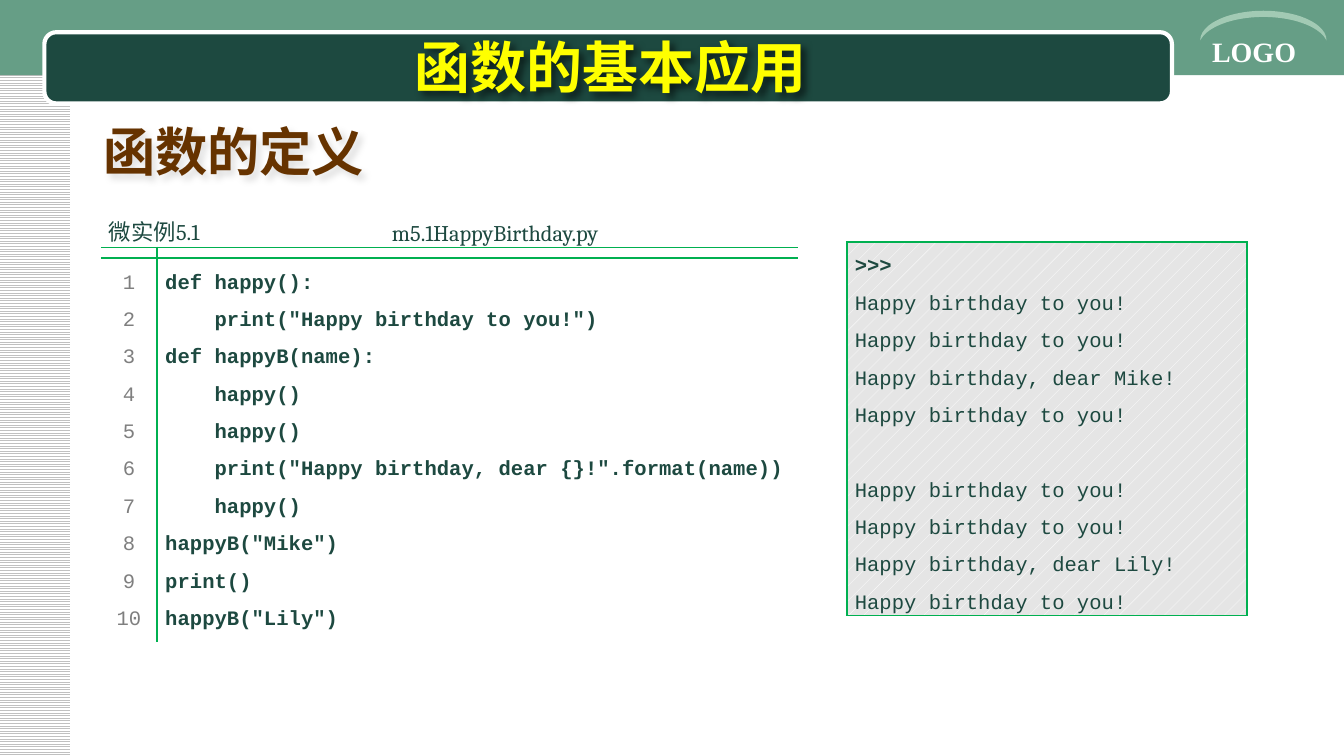
from lxml import etree
from pptx import Presentation
from pptx.dml.color import RGBColor
from pptx.enum.dml import MSO_PATTERN
from pptx.enum.shapes import MSO_SHAPE
from pptx.enum.text import MSO_ANCHOR, PP_ALIGN
from pptx.oxml.ns import qn
from pptx.util import Inches, Pt

WHITE = RGBColor(0xFF, 0xFF, 0xFF)
SILVER = RGBColor(0xC0, 0xC0, 0xC0)
PALE = RGBColor(0xE5, 0xE5, 0xE5)
GRAY = RGBColor(0x7F, 0x7F, 0x7F)
DARK = RGBColor(0x1D, 0x49, 0x40)
SAGE = RGBColor(0x66, 0x9E, 0x86)
MINT = RGBColor(0xA2, 0xCA, 0xB4)
GREEN = RGBColor(0x00, 0xB0, 0x50)
YELLOW = RGBColor(0xFF, 0xFF, 0x00)
BROWN = RGBColor(0x66, 0x33, 0x00)
RECT, ROUND, MOON = MSO_SHAPE.RECTANGLE, MSO_SHAPE.ROUNDED_RECTANGLE, MSO_SHAPE.MOON
STRIPES, DOTS = MSO_PATTERN.LIGHT_HORIZONTAL, MSO_PATTERN.PERCENT_10
LEFT, CENTER, JUSTIFY = PP_ALIGN.LEFT, PP_ALIGN.CENTER, PP_ALIGN.JUSTIFY
TOP, MIDDLE = MSO_ANCHOR.TOP, MSO_ANCHOR.MIDDLE
SANS, SERIF, MONO, ROMAN = "Noto Sans CJK SC", "Cambria", "Courier New", "Times New Roman"
PLAIN_TABLE = "{2D5ABB26-0587-4C30-8999-92F81FD0307C}"

CODE = [
    "def happy():",
    '    print("Happy birthday to you!")',
    "def happyB(name):",
    "    happy()",
    "    happy()",
    '    print("Happy birthday, dear {}!".format(name))',
    "    happy()",
    'happyB("Mike")',
    "print()",
    'happyB("Lily")',
]
WISH = "Happy birthday to you!"


def add_run(p, text, size, font, color, bold=False):
    r = p.add_run()
    r.text = text
    r.font.size = Pt(size)
    r.font.name = font
    r.font.bold = bold
    r.font.color.rgb = color
    if font == SANS:
        etree.SubElement(r._r.get_or_add_rPr(), qn("a:ea"), typeface=font)


def add_block(slide, kind, x, y, w, h, color=None):
    sp = slide.shapes.add_shape(kind, Inches(x), Inches(y), Inches(w), Inches(h))
    sp.shadow.inherit = False
    sp.line.fill.background()
    if color is not None:
        sp.fill.solid()
        sp.fill.fore_color.rgb = color
    return sp


def add_label(slide, x, y, w, h, text, size, font, color, align=LEFT, anchor=TOP, wrap=True):
    tb = slide.shapes.add_textbox(Inches(x), Inches(y), Inches(w), Inches(h))
    tf = tb.text_frame
    tf.word_wrap = wrap
    tf.vertical_anchor = anchor
    p = tf.paragraphs[0]
    p.alignment = align
    add_run(p, text, size, font, color, True)
    return tb


def add_shadow(sp, alpha):
    effects = etree.SubElement(sp._element.spPr, qn("a:effectLst"))
    shadow = etree.SubElement(effects, qn("a:outerShdw"), blurRad=str(Pt(4)),
                              dist=str(Pt(3)), dir="2700000", algn="tl")
    color = etree.SubElement(shadow, qn("a:srgbClr"), val="000000")
    etree.SubElement(color, qn("a:alpha"), val=str(alpha * 1000))


def set_borders(cell, sides):
    tcPr = cell._tc.get_or_add_tcPr()
    for i, side in enumerate(s for s in "LRTB" if s in sides):
        ln = etree.Element(qn("a:ln" + side), w=str(Pt(1)))
        fill = etree.SubElement(ln, qn("a:solidFill"))
        etree.SubElement(fill, qn("a:srgbClr"), val=str(GREEN))
        tcPr.insert(i, ln)


def add_grid(slide, x, y, cols, rows):
    frame = slide.shapes.add_table(len(rows), len(cols), Inches(x), Inches(y),
                                   Inches(sum(cols)), Inches(sum(rows)))
    table = frame.table
    table.first_row = table.horz_banding = False
    table._tbl.tblPr.find(qn("a:tableStyleId")).text = PLAIN_TABLE
    for col, w in zip(table.columns, cols):
        col.width = Inches(w)
    for row, h in zip(table.rows, rows):
        row.height = Inches(h)
    for cell in table.iter_cells():
        cell.margin_left = cell.margin_right = Inches(0.06)
        cell.margin_top = cell.margin_bottom = 0
        cell.fill.solid()
        cell.fill.fore_color.rgb = WHITE
        etree.SubElement(cell.text_frame.paragraphs[0]._p, qn("a:endParaRPr"), sz="300")
    return table


def fill_cell(cell, lines, size, font, color, bold=False, align=LEFT, spacing=20, anchor=TOP):
    tf = cell.text_frame
    cell.vertical_anchor = anchor
    for i, line in enumerate(lines):
        p = tf.add_paragraph() if i else tf.paragraphs[0]
        p.alignment = align
        p.line_spacing = Pt(spacing)
        add_run(p, line, size, font, color, bold)


def add_frame(slide, w, h):
    side = add_block(slide, RECT, -0.01, 0, 0.53, h)
    side.fill.patterned()
    side.fill.pattern = STRIPES
    side.fill.fore_color.rgb = SILVER
    side.fill.back_color.rgb = WHITE
    add_block(slide, RECT, 0, 0, w, 0.56, SAGE)
    banner = add_block(slide, ROUND, 0.33, 0.24, 8.39, 0.53, DARK)
    banner.line.color.rgb = WHITE
    banner.line.width = Pt(2.25)
    add_label(slide, w - 1.08, 0.21, 1.08, 0.35, "LOGO", 15, ROMAN, WHITE)
    arc = add_block(slide, MOON, w - 0.71, -0.28, 0.22, 0.94, MINT)
    arc.adjustments[0] = 0.21
    arc.rotation = 90


def add_titles(slide, x, y):
    title = add_label(slide, x, y, 8.08, 0.46, "函数的基本应用", 30, SANS, YELLOW, CENTER, MIDDLE)
    add_shadow(title, 60)
    heading = add_label(slide, x + 0.17, y + 0.58, 2.17, 0.57, "函数的定义", 28, SANS, BROWN, wrap=False)
    add_shadow(heading, 12)


def add_listing(slide, x, y):
    table = add_grid(slide, x, y, [0.42, 1.08, 2.87, 0.82], [0.25, 0.08, 2.78, 0.08])
    for col in range(4):
        set_borders(table.cell(0, col), "B")
        set_borders(table.cell(1, col), {0: "TR", 1: "TL"}.get(col, "T"))
    for row in (2, 3):
        set_borders(table.cell(row, 0), "R")
        set_borders(table.cell(row, 1), "L")
    table.cell(0, 0).merge(table.cell(0, 1))
    for row in (1, 2, 3):
        table.cell(row, 1).merge(table.cell(row, 3))
    fill_cell(table.cell(0, 0), ["微实例5.1"], 12, SERIF, DARK, spacing=18)
    fill_cell(table.cell(0, 2), ["m5.1HappyBirthday.py"], 12, SERIF, DARK, align=CENTER, spacing=18)
    numbers = [str(n) for n in range(1, len(CODE) + 1)]
    fill_cell(table.cell(2, 0), numbers, 11, MONO, GRAY, align=CENTER, anchor=MIDDLE)
    fill_cell(table.cell(2, 1), CODE, 11, MONO, DARK, True, JUSTIFY, anchor=MIDDLE)


def add_output(slide, x, y):
    cell = add_grid(slide, x, y, [2.98], [2.78]).cell(0, 0)
    cell.fill.patterned()
    cell.fill.pattern = DOTS
    cell.fill.fore_color.rgb = WHITE
    cell.fill.back_color.rgb = PALE
    set_borders(cell, "LRTB")
    lines = [">>>"]
    for name in ("Mike", "Lily"):
        lines += [WISH, WISH, f"Happy birthday, dear {name}!", WISH]
    fill_cell(cell, lines, 11, MONO, DARK)
    paragraphs = cell.text_frame.paragraphs
    paragraphs[0].runs[0].font.bold = True
    paragraphs[5].space_before = Pt(20)


def main():
    prs = Presentation()
    prs.slide_width = Inches(10)
    prs.slide_height = prs.slide_width * 9 // 16
    s = prs.slides.add_slide(prs.slide_layouts[6])
    add_frame(s, prs.slide_width.inches, prs.slide_height.inches)
    add_titles(s, 0.5, 0.26)
    add_listing(s, 0.75, 1.59)
    add_output(s, 6.3, 1.8)
    prs.save("out.pptx")


if __name__ == "__main__":
    main()
